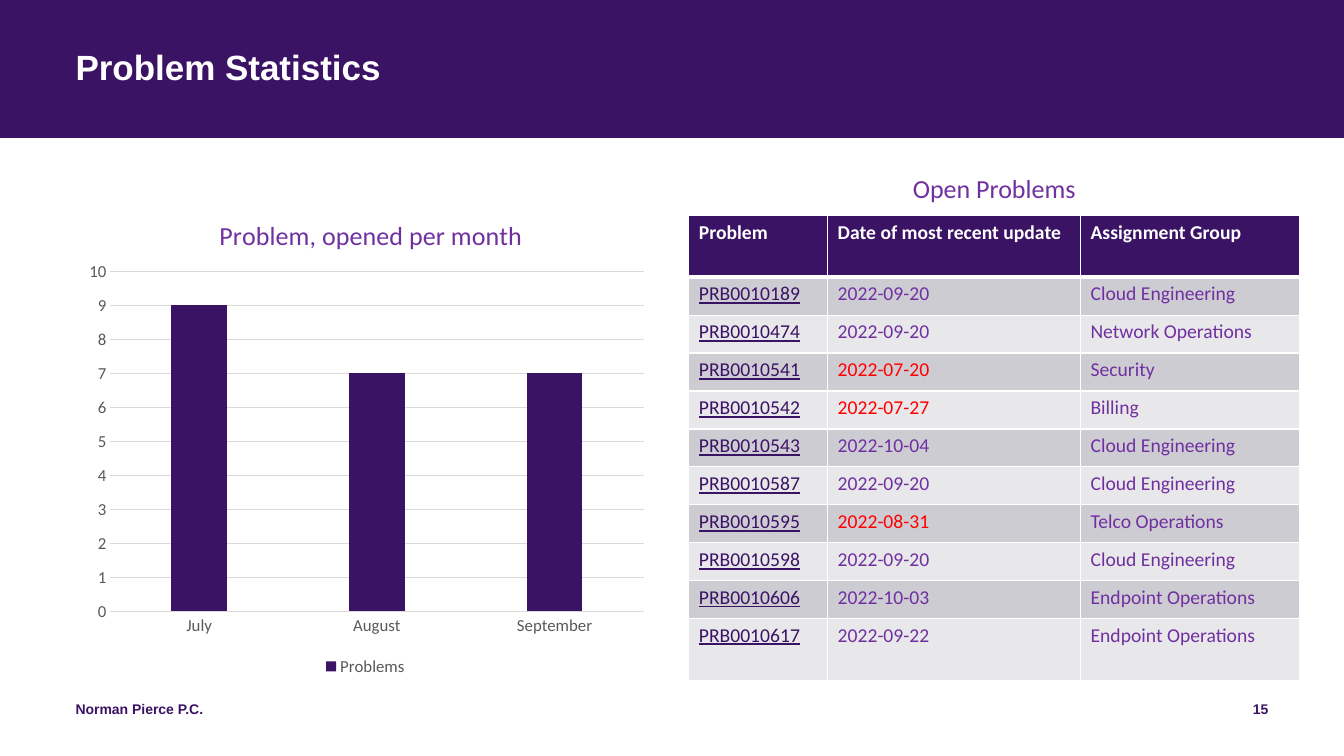
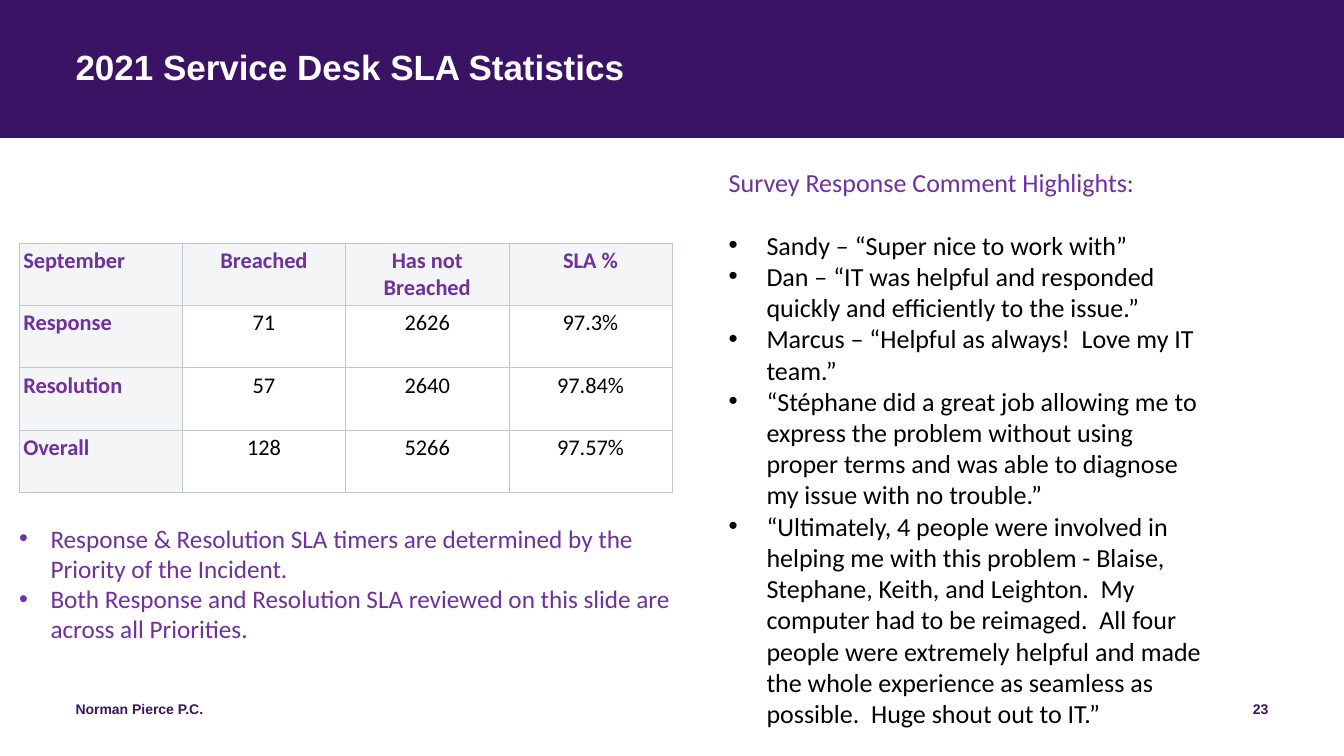
import lxml.etree
import pptx
import pptx.chart.data
import pptx.dml.color
import pptx.enum.chart
import pptx.enum.shapes
import pptx.enum.text
import pptx.oxml.ns
import pptx.util

Pt = pptx.util.Pt
qn = pptx.oxml.ns.qn
ALIGN = pptx.enum.text.PP_ALIGN

COLORS = {
    "brand": "3B1365", "accent": "7030A0", "overdue": "FF0000", "white": "FFFFFF",
    "black": "000000", "axis": "595959", "grid": "D9D9D9", "band_dark": "CECCD3",
    "band_light": "E8E7EA", "label_fill": "F4F5F7", "sla_border": "C1C7D0",
}
HEADING_SIZE = 18.6
FIRM = "Norman Pierce P.C."

MONTHS = ["July", "August", "September"]
OPENED = [9, 7, 7]
PROBLEM_HEADER = ["Problem", "Date of most recent update", "Assignment Group"]
PROBLEMS = [
    ("PRB0010189", "2022-09-20", "Cloud Engineering"),
    ("PRB0010474", "2022-09-20", "Network Operations"),
    ("PRB0010541", "2022-07-20", "Security"),
    ("PRB0010542", "2022-07-27", "Billing"),
    ("PRB0010543", "2022-10-04", "Cloud Engineering"),
    ("PRB0010587", "2022-09-20", "Cloud Engineering"),
    ("PRB0010595", "2022-08-31", "Telco Operations"),
    ("PRB0010598", "2022-09-20", "Cloud Engineering"),
    ("PRB0010606", "2022-10-03", "Endpoint Operations"),
    ("PRB0010617", "2022-09-22", "Endpoint Operations"),
]
OVERDUE_BEFORE = "2022-09-01"

SLA = [
    ("September", "Breached", "Has not Breached", "SLA %"),
    ("Response", "71", "2626", "97.3%"),
    ("Resolution", "57", "2640", "97.84%"),
    ("Overall", "128", "5266", "97.57%"),
]
SLA_NOTES = [
    "Response & Resolution SLA timers are determined by the Priority of the Incident.",
    "Both Response and Resolution SLA reviewed on this slide are across all Priorities.",
]
SURVEY_HEADING = "Survey Response Comment Highlights:"
SURVEY_COMMENTS = [
    "Sandy – “Super nice to work with”",
    "Dan – “IT was helpful and responded quickly and efficiently to the issue.”",
    "Marcus – “Helpful as always!  Love my IT team.”",
    "“Stéphane did a great job allowing me to express the problem without using proper "
    "terms and was able to diagnose my issue with no trouble.”",
    "“Ultimately, 4 people were involved in helping me with this problem - Blaise, "
    "Stephane, Keith, and Leighton.  My computer had to be reimaged.  All four people "
    "were extremely helpful and made the whole experience as seamless as possible.  "
    "Huge shout out to IT.”",
]


def rgb(name):
    return pptx.dml.color.RGBColor.from_string(COLORS[name])


def style_font(font, size, color, bold=False, face="Calibri"):
    font.name, font.size, font.bold = face, Pt(size), bold
    font.color.rgb = rgb(color)


def style_paragraph(paragraph, size, color, bold=False, face="Calibri", align=ALIGN.LEFT):
    paragraph.alignment = align
    for run in paragraph.runs:
        style_font(run.font, size, color, bold, face)


def add_text(slide, box, lines, size, color, inset=True, **style):
    frame = slide.shapes.add_textbox(*map(Pt, box)).text_frame
    frame.word_wrap = True
    if not inset:
        frame.margin_left = frame.margin_top = frame.margin_right = frame.margin_bottom = 0
    frame.text = "\n".join(lines)
    for paragraph in frame.paragraphs:
        style_paragraph(paragraph, size, color, **style)
    return frame.paragraphs


def add_bullet(paragraph, indent):
    props = paragraph._p.get_or_add_pPr()
    props.set("marL", str(Pt(indent)))
    props.set("indent", str(-Pt(indent)))
    lxml.etree.SubElement(props, qn("a:buFont"), typeface="Arial")
    lxml.etree.SubElement(props, qn("a:buChar"), char="•")


def add_base(deck, title, number):
    slide = deck.slides.add_slide(deck.slide_layouts[6])
    band = slide.shapes.add_shape(
        pptx.enum.shapes.MSO_SHAPE.RECTANGLE, 0, 0, deck.slide_width, Pt(98.5))
    band.shadow.inherit = False
    band.fill.solid()
    band.fill.fore_color.rgb = rgb("brand")
    band.line.fill.background()
    label = {"inset": False, "bold": True, "face": "Arial"}
    heading = add_text(slide, (54, 36, 852, 58), [title], 25, "white", **label)
    heading[0].line_spacing = 0.9
    add_text(slide, (54, 500.4, 324, 29), [FIRM], 10, "brand", **label)
    add_text(slide, (690, 500.4, 216, 29), [number], 10, "brand", align=ALIGN.RIGHT, **label)
    return slide


def add_grid(slide, left, top, widths, heights):
    table = slide.shapes.add_table(
        len(heights), len(widths), Pt(left), Pt(top), Pt(sum(widths)), Pt(sum(heights))).table
    table.first_row = table.horz_banding = False
    for column, width in zip(table.columns, widths):
        column.width = Pt(width)
    for row, height in zip(table.rows, heights):
        row.height = Pt(height)
    return table


def fill_cell(cell, text, fill, border, widths, size, color, **style):
    cell.text = text
    style_paragraph(cell.text_frame.paragraphs[0], size, color, **style)
    if fill:
        cell.fill.solid()
        cell.fill.fore_color.rgb = rgb(fill)
    else:
        cell.fill.background()
    props = cell._tc.get_or_add_tcPr()
    for place, (side, width) in enumerate(zip("LRTB", widths)):
        line = lxml.etree.Element(qn(f"a:ln{side}"), w=str(Pt(width)))
        solid = lxml.etree.SubElement(line, qn("a:solidFill"))
        lxml.etree.SubElement(solid, qn("a:srgbClr"), val=COLORS[border])
        props.insert(place, line)


def set_layout(parent, place, target=None, **values):
    for old in parent.findall(qn("c:layout")):
        parent.remove(old)
    layout = lxml.etree.Element(qn("c:layout"))
    manual = lxml.etree.SubElement(layout, qn("c:manualLayout"))
    if target:
        lxml.etree.SubElement(manual, qn("c:layoutTarget"), val=target)
    for axis in "xy":
        lxml.etree.SubElement(manual, qn(f"c:{axis}Mode"), val="edge")
    for key, value in values.items():
        lxml.etree.SubElement(manual, qn(f"c:{key}"), val=str(value))
    parent.insert(place, layout)


def add_opened_chart(slide):
    data = pptx.chart.data.CategoryChartData()
    data.categories = MONTHS
    data.add_series("Problems", OPENED)
    chart = slide.shapes.add_chart(
        pptx.enum.chart.XL_CHART_TYPE.COLUMN_CLUSTERED,
        Pt(54), Pt(134), Pt(414), Pt(352), data).chart
    style_font(chart.font, 10, "black")

    chart.has_title = True
    heading = chart.chart_title.text_frame
    heading.text = "Problem, opened per month"
    style_paragraph(heading.paragraphs[0], HEADING_SIZE, "accent", align=ALIGN.CENTER)
    set_layout(chart.chart_title._element, 1, x=0.24, y=0.05)

    chart.has_legend = True
    chart.legend.position = pptx.enum.chart.XL_LEGEND_POSITION.BOTTOM
    chart.legend.include_in_layout = False
    style_font(chart.legend.font, 12, "axis")

    plot = chart.plots[0]
    plot.gap_width, plot.overlap, plot.vary_by_categories = 219, -27, False
    plot.series[0].format.fill.solid()
    plot.series[0].format.fill.fore_color.rgb = rgb("brand")
    set_layout(plot._element.getparent(), 0, "inner", x=0.06, y=0.17, w=0.92, h=0.69)

    months, counts = chart.category_axis, chart.value_axis
    for axis in (months, counts):
        axis.major_tick_mark = axis.minor_tick_mark = pptx.enum.chart.XL_TICK_MARK.NONE
        style_font(axis.tick_labels.font, 12, "axis")
    counts.minimum_scale, counts.maximum_scale, counts.major_unit = 0, 10, 1
    counts.has_major_gridlines = True
    for line in (months.format.line, counts.major_gridlines.format.line):
        line.color.rgb = rgb("grid")
        line.width = Pt(0.75)
    counts.format.line.fill.background()


def add_problem_table(slide):
    heights = [44] + [27.1] * (len(PROBLEMS) - 1) + [44]
    table = add_grid(slide, 492, 154, [99.2, 180.6, 156.6], heights)
    for c, text in enumerate(PROBLEM_HEADER):
        fill_cell(table.cell(0, c), text, "brand", "white", (1, 1, 1, 3), 14, "white", bold=True)
    for r, problem in enumerate(PROBLEMS, 1):
        fill = "band_dark" if r % 2 else "band_light"
        borders = (1, 1, 3 if r == 1 else 1, 1)
        updated = "overdue" if problem[1] < OVERDUE_BEFORE else "accent"
        for c, (text, color) in enumerate(zip(problem, ("brand", updated, "accent"))):
            fill_cell(table.cell(r, c), text, fill, "white", borders, 14, color)
        table.cell(r, 0).text_frame.paragraphs[0].runs[0].font.underline = True


def add_sla_table(slide):
    table = add_grid(slide, 13.7, 173.5, [116.6] * len(SLA[0]), [44.6] * len(SLA))
    for r, row in enumerate(SLA):
        for c, text in enumerate(row):
            cell = table.cell(r, c)
            cell.margin_left = cell.margin_top = cell.margin_right = cell.margin_bottom = Pt(3)
            label = r == 0 or c == 0
            fill_cell(cell, text, "label_fill" if label else None, "sla_border", [0.5] * 4,
                      16, "accent" if label else "black", bold=label,
                      align=ALIGN.CENTER if c else ALIGN.LEFT)


def add_survey(slide):
    heading, *comments = add_text(
        slide, (513.4, 115.2, 353.5, 422), [SURVEY_HEADING] + SURVEY_COMMENTS,
        HEADING_SIZE, "black")
    style_paragraph(heading, HEADING_SIZE, "accent")
    heading.space_after = Pt(22.6)
    for comment in comments:
        add_bullet(comment, 27)


def main():
    deck = pptx.Presentation()
    deck.slide_width, deck.slide_height = Pt(960), Pt(540)

    problems = add_base(deck, "Problem Statistics", "15")
    add_opened_chart(problems)
    add_problem_table(problems)
    add_text(problems, (492, 119.5, 436.4, 29.5), ["Open Problems"], HEADING_SIZE, "accent",
             align=ALIGN.CENTER)

    service = add_base(deck, "2021 Service Desk SLA Statistics", "23")
    add_sla_table(service)
    for note in add_text(service, (6.5, 370, 481, 94.3), SLA_NOTES, 18, "accent"):
        add_bullet(note, 22.5)
    add_survey(service)

    deck.save("out.pptx")


if __name__ == "__main__":
    main()
